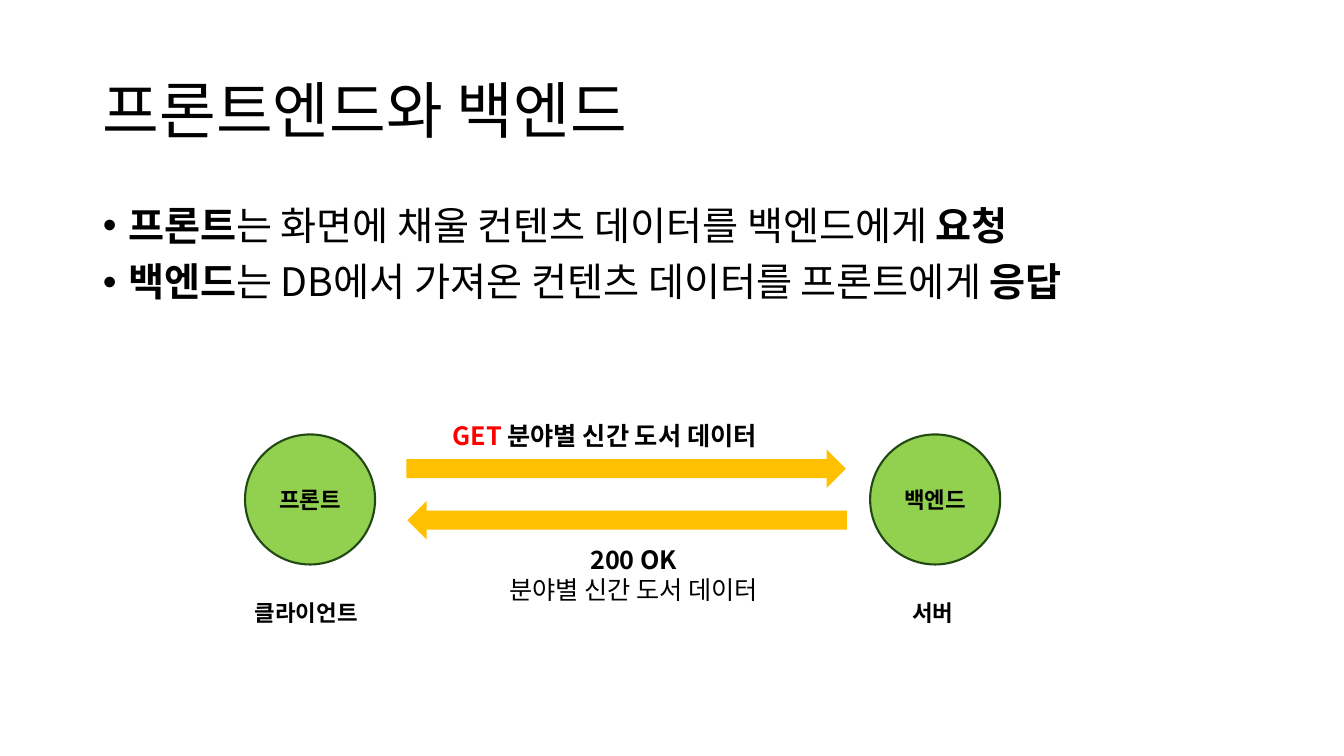
from dataclasses import dataclass

from lxml import etree
from pptx import Presentation, util as u
from pptx.dml.color import RGBColor
from pptx.enum import shapes as sh, text as tx
from pptx.oxml import ns

FONT = "Noto Sans CJK KR"
BLACK = RGBColor(0x00, 0x00, 0x00)
RED = RGBColor(0xFF, 0x00, 0x00)
GREEN = RGBColor(0x92, 0xD0, 0x50)
FOREST = RGBColor(0x22, 0x49, 0x14)
AMBER = RGBColor(0xFF, 0xC0, 0x00)


@dataclass
class Run:
    text: str
    bold: bool = True
    color: RGBColor = BLACK
    size: float = 0
    wrap: bool = False


@dataclass
class Box:
    left: float
    top: float
    width: float
    height: float


@dataclass
class Node:
    name: str
    left: float


@dataclass
class Arrow:
    box: Box
    turn: float


@dataclass
class Label:
    box: Box
    runs: list[Run]
    size: float
    align: tx.PP_ALIGN = tx.PP_ALIGN.LEFT


TITLE = Box(0.92, 0.4, 11.5, 1.45)
BODY = Box(0.92, 2, 11.6, 4.76)
POINTS = [
    [Run("프론트"), Run("는 화면에 채울", False), Run(" ", False, size=24),
     Run("컨텐츠 데이터를 백엔드에게 ", False), Run("요청")],
    [Run("백엔드"), Run("는 DB에서 가져온 컨텐츠 데이터를 프론트에게 ", False), Run("응답")],
]
NODES = [Node("프론트", 2.43), Node("백엔드", 8.63)]
ARROWS = [Arrow(Box(4.03, 4.46, 4.36, 0.38), 0), Arrow(Box(4.04, 4.97, 4.36, 0.38), 180)]
DATA = "분야별 신간 도서 데이터"
LABELS = [
    Label(Box(4.39, 4.12, 3.64, 0.4), [Run("GET ", color=RED), Run(DATA)], 18),
    Label(Box(4.79, 5.35, 2.99, 0.71), [Run("200 OK", wrap=True), Run(DATA, False)],
          18, tx.PP_ALIGN.CENTER),
    Label(Box(2.43, 5.89, 1.32, 0.37), [Run("클라이언트")], 16),
    Label(Box(8.95, 5.89, 0.65, 0.37), [Run("서버")], 16),
]


def area(box: Box) -> list[u.Length]:
    return [u.Inches(n) for n in (box.left, box.top, box.width, box.height)]


def place(shape, box: Box) -> None:
    shape.left, shape.top, shape.width, shape.height = area(box)


def write(para, runs: list[Run], *, size: float, align=tx.PP_ALIGN.LEFT,
          lead: float | None = None, before: float | None = None) -> None:
    para.alignment = align
    if lead is not None:
        para.line_spacing = lead
    if before is not None:
        para.space_before = u.Pt(before)
    for item in runs:
        run = para.add_run()
        run.text = item.text
        font = run.font
        font.name, font.size, font.bold = FONT, u.Pt(item.size or size), item.bold
        font.color.rgb = item.color
        east = etree.Element(ns.qn("a:ea"), typeface=FONT)
        run._r.rPr.find(ns.qn("a:latin")).addnext(east)
        if item.wrap:
            para.add_line_break()


def bullet(para) -> None:
    props = para._p.get_or_add_pPr()
    props.set("marL", str(u.Inches(0.25)))
    props.set("indent", str(u.Inches(-0.25)))
    etree.SubElement(props, ns.qn("a:buFont"), typeface="Arial")
    etree.SubElement(props, ns.qn("a:buChar"), char="•")


def draw(slide, kind: sh.MSO_SHAPE, box: Box, fill: RGBColor):
    shape = slide.shapes.add_shape(kind, *area(box))
    shape.shadow.inherit = False
    shape.fill.solid()
    shape.fill.fore_color.rgb = fill
    shape.line.fill.background()
    return shape


def head(slide) -> None:
    title = slide.shapes.title
    place(title, TITLE)
    frame = title.text_frame
    frame.auto_size = tx.MSO_AUTO_SIZE.NONE
    frame.vertical_anchor = tx.MSO_ANCHOR.MIDDLE
    write(frame.paragraphs[0], [Run("프론트엔드와 백엔드", False)], size=44, lead=0.9)


def points(slide) -> None:
    body = slide.placeholders[1]
    place(body, BODY)
    frame = body.text_frame
    frame.auto_size = tx.MSO_AUTO_SIZE.NONE
    for i, runs in enumerate(POINTS):
        para = frame.add_paragraph() if i else frame.paragraphs[0]
        write(para, runs, size=28, lead=0.9, before=10)
        bullet(para)


def node(slide, item: Node) -> None:
    disc = draw(slide, sh.MSO_SHAPE.OVAL, Box(item.left, 4.31, 1.29, 1.29), GREEN)
    disc.line.color.rgb = FOREST
    disc.line.width = u.Pt(1.5)
    frame = disc.text_frame
    frame.vertical_anchor = tx.MSO_ANCHOR.MIDDLE
    write(frame.paragraphs[0], [Run(item.name)], size=16, align=tx.PP_ALIGN.CENTER)


def label(slide, item: Label) -> None:
    frame = slide.shapes.add_textbox(*area(item.box)).text_frame
    frame.word_wrap = False
    frame.auto_size = tx.MSO_AUTO_SIZE.SHAPE_TO_FIT_TEXT
    write(frame.paragraphs[0], item.runs, size=item.size, align=item.align)


def main() -> None:
    deck = Presentation()
    deck.slide_width, deck.slide_height = u.Inches(13.33), u.Inches(7.5)
    slide = deck.slides.add_slide(deck.slide_layouts[1])
    head(slide)
    points(slide)
    for item in NODES:
        node(slide, item)
    for item in ARROWS:
        draw(slide, sh.MSO_SHAPE.RIGHT_ARROW, item.box, AMBER).rotation = item.turn
    for item in LABELS:
        label(slide, item)
    deck.save("out.pptx")


if __name__ == "__main__":
    main()
